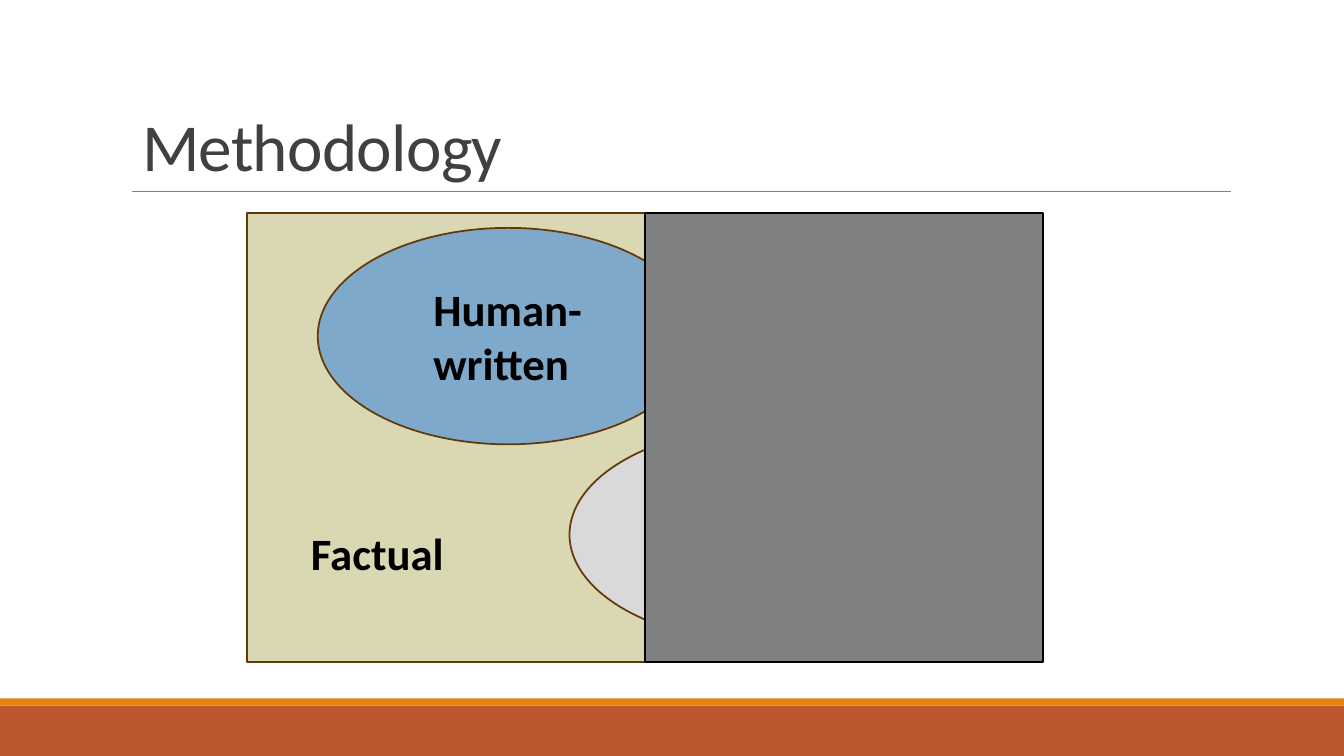
from pptx import Presentation
from pptx.dml.color import RGBColor
from pptx.enum.shapes import MSO_CONNECTOR as Link, MSO_SHAPE as Kind
from pptx.enum.text import MSO_ANCHOR as Anchor, MSO_AUTO_SIZE as Fit, PP_ALIGN as Align
from pptx.oxml.ns import qn
from pptx.util import Pt
from lxml.etree import SubElement

WIDE, HIGH = 960, 540
LEFT, TOP, HALF, TALL = 176.4, 151.9, 284.4, 321.1
MID = LEFT + HALF
BROWN = "643908"


def color(hue):
    return RGBColor.from_string(hue)


def style(obj, form):
    for key, val in form.items():
        setattr(obj, key, val)


def box(*nums):
    return [Pt(num) for num in nums]


def draw(slide, kind, area, fill, edge=None):
    shape = slide.shapes.add_shape(kind, *box(*area))
    shape.shadow.inherit = False
    shape.fill.solid()
    shape.fill.fore_color.rgb = color(fill)
    if edge:
        shape.line.color.rgb = color(edge)
        shape.line.width = Pt(1.25)
    else:
        shape.line.fill.background()


def rule(slide, ends, hue):
    line = slide.shapes.add_connector(Link.STRAIGHT, *box(*ends))
    line.line.color.rgb = color(hue)
    line.line.width = Pt(0.5)
    SubElement(line._element.spPr, qn("a:effectLst"))


def write(frame, text, size, hue, bold):
    para = frame.paragraphs[0]
    para.alignment = Align.LEFT
    run = para.add_run()
    run.text = text
    style(run.font, {"name": "Calibri", "size": Pt(size), "bold": bold})
    run.font.color.rgb = color(hue)
    return para, run


def head(slide, text):
    title = slide.shapes.title
    style(title, dict(zip(("left", "top", "width", "height"),
                          box(94.3, 21.6, 792, 114.5))))
    frame = title.text_frame
    style(frame, {"word_wrap": True, "auto_size": Fit.NONE,
                  "vertical_anchor": Anchor.BOTTOM})
    para, run = write(frame, text, 48, "404040", False)
    para.line_spacing = 0.85
    run.font._element.set("spc", "-50")


def label(slide, area, text):
    frame = slide.shapes.add_textbox(*box(*area)).text_frame
    style(frame, {"word_wrap": True, "auto_size": Fit.SHAPE_TO_FIT_TEXT})
    write(frame, text, 32, "000000", True)


def main():
    deck = Presentation()
    style(deck, {"slide_width": Pt(WIDE), "slide_height": Pt(HIGH)})
    slide = deck.slides.add_slide(deck.slide_layouts[5])

    draw(slide, Kind.RECTANGLE, (0, 504, WIDE, 36), "BD582C")
    draw(slide, Kind.RECTANGLE, (0, 498.8, WIDE, 5.2), "E48312")
    rule(slide, (94.3, 136.8, 879, 136.8), "808080")
    head(slide, "Methodology")

    draw(slide, Kind.RECTANGLE, (LEFT, TOP, HALF, TALL), "DAD7B3", BROWN)
    draw(slide, Kind.OVAL, (227, 162.8, 271.9, 154.6), "7EA9CA", BROWN)
    draw(slide, Kind.OVAL, (406.8, 304.5, 284.4, 154.8), "D9D9D9", BROWN)
    label(slide, (215, 372.2, 192, 46), "Factual")
    label(slide, (302.4, 197.5, 192, 85), "Human-written")
    draw(slide, Kind.RECTANGLE, (MID, TOP, HALF, TALL), "808080", "000000")

    deck.save("out.pptx")


if __name__ == "__main__":
    main()
